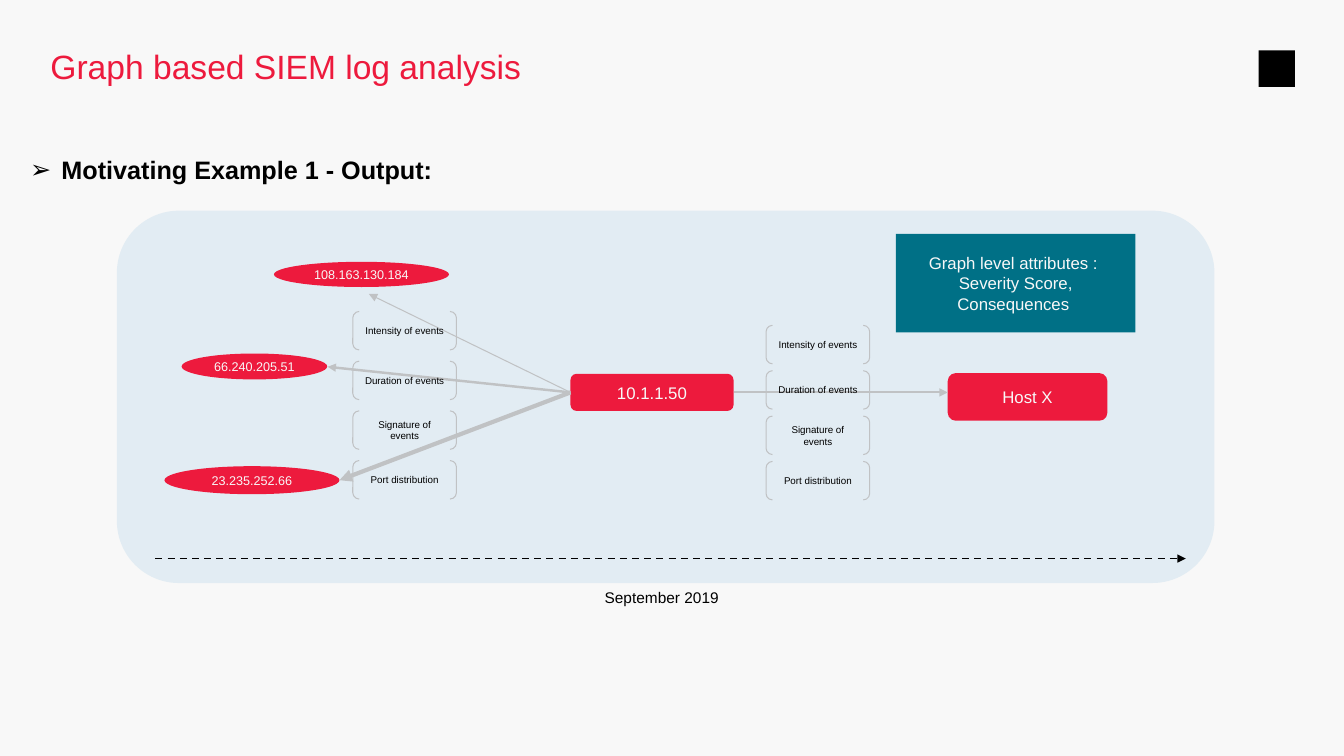
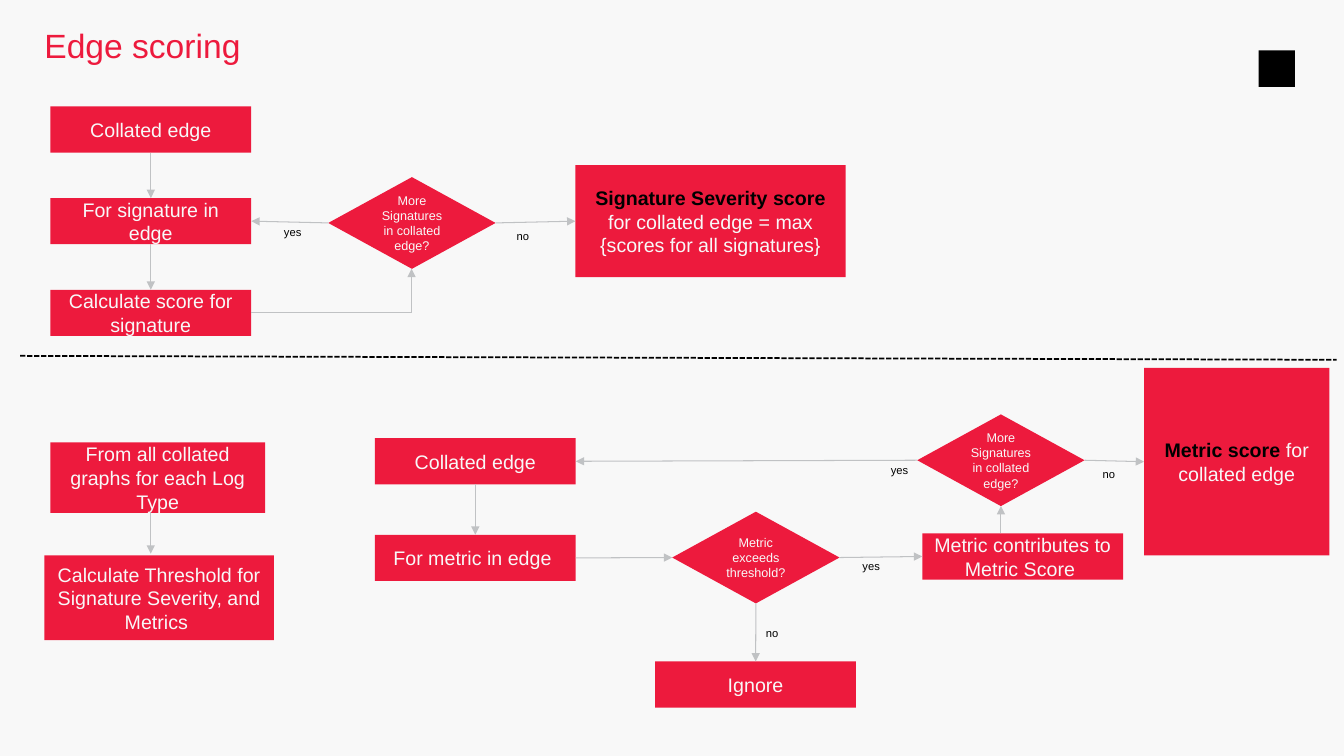
import pptx
import pptx.dml.color
import pptx.enum.dml
import pptx.enum.shapes
import pptx.enum.text
import pptx.oxml
import pptx.oxml.ns
import pptx.util

Pt = pptx.util.Pt
SHAPE = pptx.enum.shapes.MSO_SHAPE
ALIGN = pptx.enum.text.PP_ALIGN
ANCHOR = pptx.enum.text.MSO_ANCHOR
DASH = pptx.enum.dml.MSO_LINE

FONT = "Arial"
COLORS = {
    "background": "F8F8F8",
    "red": "ED1A3D",
    "teal": "007086",
    "panel": "E2ECF3",
    "gray": "C0C2C4",
    "black": "000000",
}
TOP, LEFT, BOTTOM, RIGHT = range(4)  # connection sites of rectangles and diamonds
STEP_SIZE = (143.5, 33)
DIAMOND_SIZE = (119.5, 65.5)
BRACKET_SIZE = (74, 27.5)
EDGE_ATTRIBUTES = [
    "Intensity of events",
    "Duration of events",
    "Signature of events",
    "Port distribution",
]


def rgb(name):
    return pptx.dml.color.RGBColor.from_string(COLORS[name])


def add_xml(parent, tag, **attributes):
    child = pptx.oxml.parse_xml(f"<a:{tag} {pptx.oxml.ns.nsdecls('a')}/>")
    for name, value in attributes.items():
        child.set(name, value)
    parent.append(child)


def write(shape, text, size=14, color="background", bold=False, lead="",
          align=ALIGN.CENTER, anchor=ANCHOR.MIDDLE, inset=None, spacing=None):
    """Fill a shape with one paragraph per line; lead is a bold black opening."""
    frame = shape.text_frame
    frame.word_wrap = True
    frame.auto_size = pptx.enum.text.MSO_AUTO_SIZE.NONE
    frame.vertical_anchor = anchor
    if inset is not None:
        frame.margin_left = frame.margin_right = Pt(inset)
        frame.margin_top = frame.margin_bottom = Pt(inset)
    for index, line in enumerate(text.split("\n")):
        para = frame.add_paragraph() if index else frame.paragraphs[0]
        para.alignment = align
        para.line_spacing = spacing
        runs = [(line, color, bold)]
        if lead and index == 0:
            runs.insert(0, (lead, "black", True))
        for words, run_color, run_bold in runs:
            span = para.add_run()
            span.text = words
            span.font.name = FONT
            span.font.size = Pt(size)
            span.font.bold = run_bold
            span.font.color.rgb = rgb(run_color)


def add_box(page, left, top, width, height, text="", kind=SHAPE.RECTANGLE,
            fill="red", **text_format):
    box = page.shapes.add_shape(kind, Pt(left), Pt(top), Pt(width), Pt(height))
    box.shadow.inherit = False
    box.fill.solid()
    box.fill.fore_color.rgb = rgb(fill)
    box.line.fill.background()
    if text:
        write(box, text, **text_format)
    return box


def add_step(page, left, top, text):
    return add_box(page, left, top, *STEP_SIZE, text)


def add_decision(page, left, top, text):
    return add_box(page, left, top, *DIAMOND_SIZE, text, kind=SHAPE.DIAMOND, size=9)


def add_bracket_column(page, left, top, pitch):
    for index, attribute in enumerate(EDGE_ATTRIBUTES):
        bracket = add_box(page, left, top + index * pitch, *BRACKET_SIZE, attribute,
                          kind=SHAPE.DOUBLE_BRACKET, size=7, color="black")
        bracket.fill.background()
        bracket.line.color.rgb = rgb("gray")
        bracket.line.width = Pt(0.75)


def add_label(page, left, top, text, width=28.8, height=17, size=8, **text_format):
    label = page.shapes.add_textbox(Pt(left), Pt(top), Pt(width), Pt(height))
    text_format = {"color": "black", "align": ALIGN.LEFT, "anchor": ANCHOR.TOP,
                   **text_format}
    write(label, text, size=size, **text_format)
    return label


def add_line(page, start, end, color="gray", width=0.75, dash=None, arrow=True):
    line = page.shapes.add_connector(
        pptx.enum.shapes.MSO_CONNECTOR.STRAIGHT,
        *(Pt(length) for length in (*start, *end)))
    line.line.color.rgb = rgb(color)
    line.line.width = Pt(width)
    if dash:
        line.line.dash_style = dash
    if arrow:
        add_xml(line.line._get_or_add_ln(), "tailEnd", type="triangle")
    add_xml(line._element.spPr, "effectLst")
    return line


def link(page, source, source_side, target, target_side, **line_format):
    """Draw an arrow attached to the given sides of two boxes."""
    line = add_line(page, (0, 0), (1, 1), **line_format)
    line.begin_connect(source, source_side)
    line.end_connect(target, target_side)


def add_page(deck, title, left, top):
    page = deck.slides.add_slide(deck.slide_layouts[5])
    holder = page.shapes.title
    holder.left, holder.top = Pt(left), Pt(top)
    holder.width, holder.height = Pt(858), Pt(26)
    write(holder, title, size=24, color="red", align=ALIGN.LEFT,
          anchor=ANCHOR.TOP, inset=0, spacing=0.9)
    add_box(page, 899, 36, 26, 26, fill="black")
    return page


def build_log_analysis(deck):
    page = add_page(deck, "Graph based SIEM log analysis", 36, 36)
    add_box(page, 83.5, 150.5, 784, 266, kind=SHAPE.ROUNDED_RECTANGLE, fill="panel")

    heading = add_label(page, 21.6, 112.3, "Motivating Example 1 - Output:",
                        width=888, height=26, size=18, bold=True, inset=0, spacing=0.9)
    properties = heading.text_frame.paragraphs[0]._p.get_or_add_pPr()
    properties.set("marL", str(Pt(22.3)))
    properties.set("indent", str(Pt(-22.3)))
    add_xml(properties, "buFont", typeface=FONT)
    add_xml(properties, "buChar", char="➢")

    add_line(page, (111, 399), (847, 399), color="black", width=1.25, dash=DASH.DASH)
    add_label(page, 424.8, 416.2, "September 2019", width=152.6, height=21, size=11)

    center = add_box(page, 407.5, 267, 116.5, 26.6, "10.1.1.50",
                     kind=SHAPE.ROUNDED_RECTANGLE, size=12)
    host = add_box(page, 677, 266.5, 114, 34, "Host X",
                   kind=SHAPE.ROUNDED_RECTANGLE, size=12)
    addresses = [
        ("23.235.252.66", (117.5, 333, 125, 20), (242.5, 343), 3),
        ("108.163.130.184", (195.7, 187, 125, 18), (263.5, 210), 0.75),
        ("66.240.205.51", (129.7, 252.5, 104, 18.5), (234, 262), 1.75),
    ]
    for address, area, arrow_end, width in addresses:
        add_line(page, (407.5, 280.3), arrow_end, width=width)
        add_box(page, *area, address, kind=SHAPE.OVAL, size=9)
    center_line = center.top.pt + center.height.pt / 2
    add_line(page, (524, center_line), (host.left.pt, center_line), width=1.5)

    add_bracket_column(page, 252, 222.5, 35.5)
    add_bracket_column(page, 547.2, 232.4, 32.4)
    add_box(page, 640, 167, 171, 70.5,
            "Graph level attributes : \nSeverity Score, Consequences ",
            fill="teal", size=12)


def build_signature_flow(page):
    steps = [add_step(page, 36, 76 + 65.5 * index, text) for index, text in enumerate(
        ["Collated edge", "For signature in edge", "Calculate score for signature"])]
    more = add_decision(page, 234.5, 126.5, "More\nSignatures in collated edge?")
    result = add_box(page, 411, 118, 193, 80, lead="Signature Severity score ",
                     text="for collated edge = max {scores for all signatures}")
    for upper, lower in zip(steps, steps[1:]):
        link(page, upper, BOTTOM, lower, TOP)
    link(page, more, LEFT, steps[1], RIGHT)
    link(page, more, RIGHT, result, LEFT)
    corner = (294, 223.5)
    add_line(page, (179.5, 223.5), corner, arrow=False)
    add_line(page, corner, (294, 192))
    add_label(page, 195.8, 157.7, "yes")
    add_label(page, 362, 160, "no")


def build_threshold_flow(page):
    add_box(page, 36, 316, 153.4, 50.4, "From all collated graphs for each Log Type")
    add_box(page, 31.7, 396.7, 164, 60.5,
            "Calculate Threshold for Signature Severity, and Metrics ")
    add_line(page, (107.7, 366), (107.7, 395.5))


def build_metric_flow(page):
    collated = add_step(page, 267.8, 313, "Collated edge")
    metric = add_step(page, 267.8, 382, "For metric in edge ")
    exceeds = add_decision(page, 480.2, 365.5, "Metric exceeds threshold?")
    contributes = add_step(page, 658.8, 381, "Metric contributes to Metric Score ")
    ignore = add_step(page, 468, 472.5, "Ignore")
    more = add_decision(page, 655.2, 296, "More\nSignatures in collated edge?")
    result = add_box(page, 817.2, 262.8, 132.5, 134, "for collated edge",
                     lead="Metric score ")
    for source, source_side, target, target_side in [
        (collated, BOTTOM, metric, TOP),
        (metric, RIGHT, exceeds, LEFT),
        (exceeds, RIGHT, contributes, LEFT),
        (exceeds, BOTTOM, ignore, TOP),
        (more, LEFT, collated, RIGHT),
        (more, RIGHT, result, LEFT),
    ]:
        link(page, source, source_side, target, target_side)
    add_line(page, (715, 381), (715, 361.5))
    for left, top, text in [(629.3, 327.6, "yes"), (780.5, 330.5, "no"),
                            (609, 396, "yes"), (540, 444.2, "no")]:
        add_label(page, left, top, text)


def build_edge_scoring(deck):
    page = add_page(deck, "Edge scoring", 31.7, 21)
    build_signature_flow(page)
    build_threshold_flow(page)
    build_metric_flow(page)
    add_line(page, (14.4, 254.2), (954.7, 257), color="black", width=1.25,
             dash=DASH.SQUARE_DOT, arrow=False)


def main():
    deck = pptx.Presentation()
    deck.slide_width, deck.slide_height = Pt(960), Pt(540)
    background = deck.slide_master.background.fill
    background.solid()
    background.fore_color.rgb = rgb("background")
    build_log_analysis(deck)
    build_edge_scoring(deck)
    deck.save("out.pptx")


if __name__ == "__main__":
    main()
